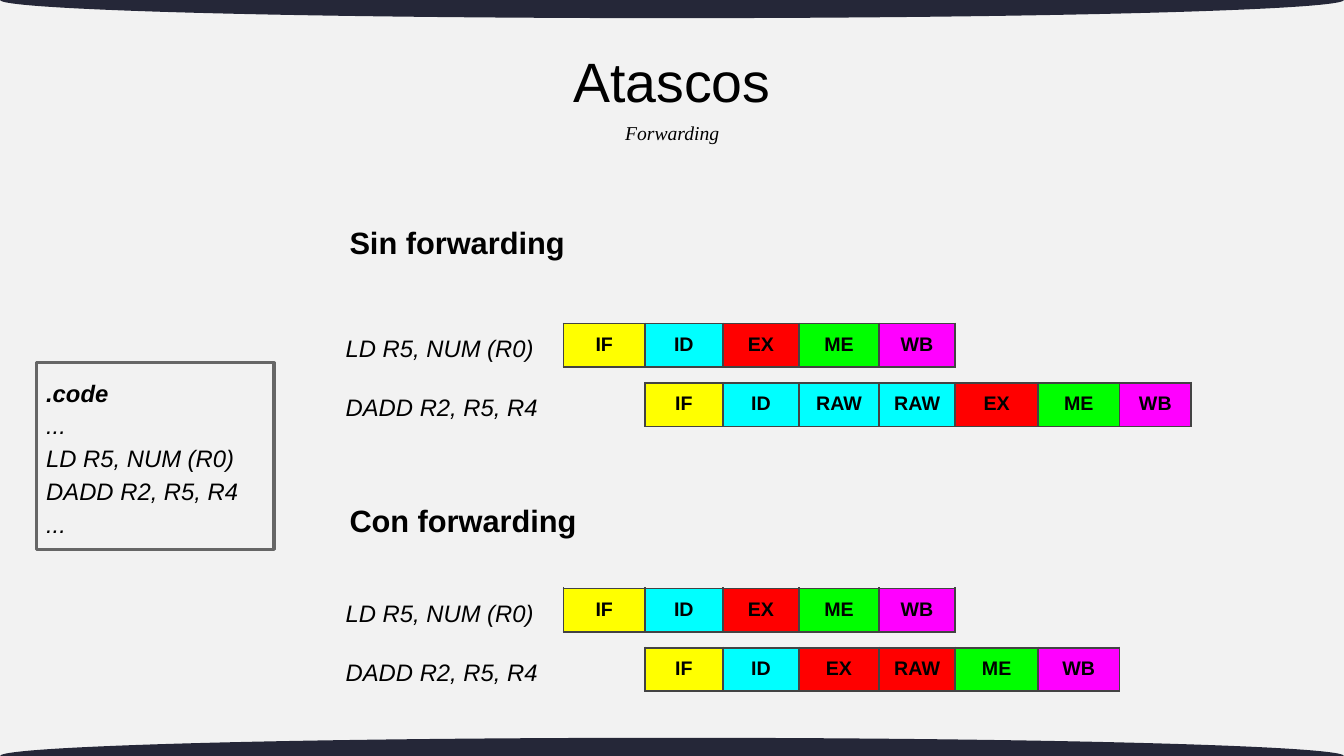
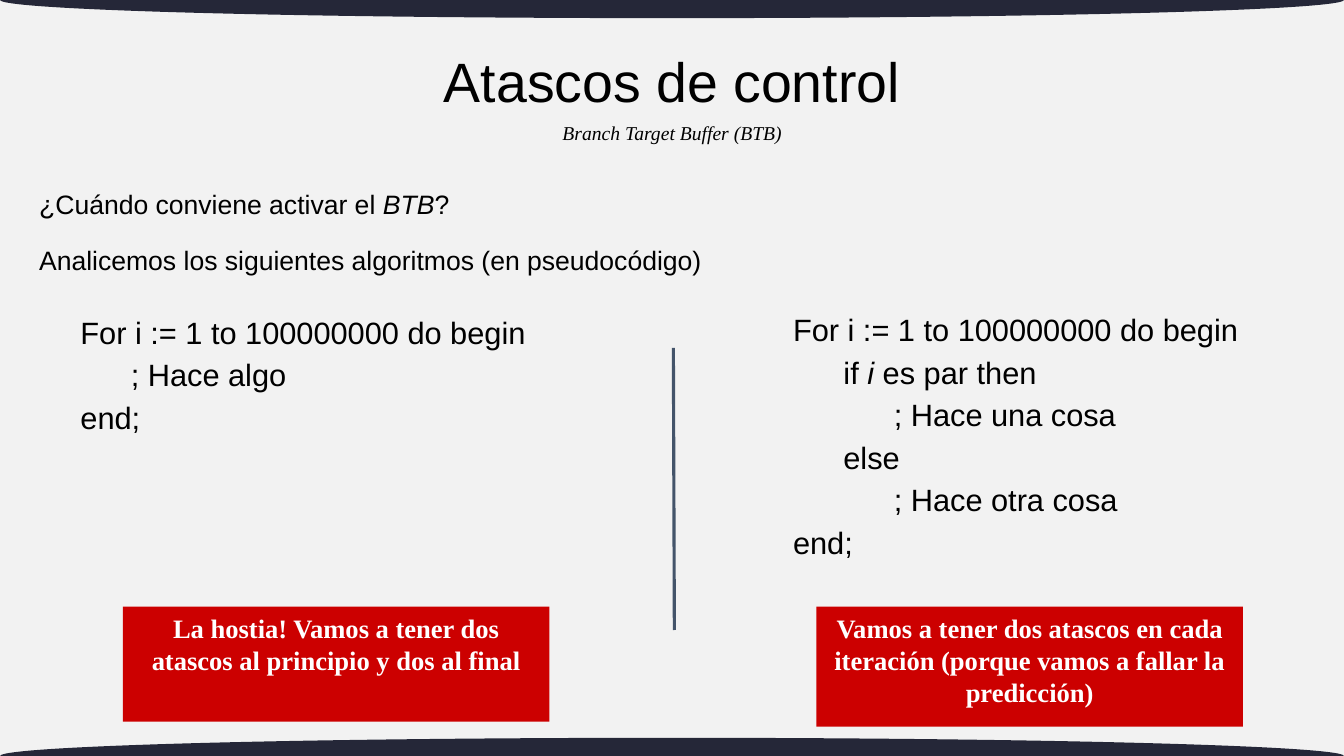
from pptx import Presentation
from pptx import util as u
from pptx.dml.color import RGBColor
from pptx.enum import shapes, text
from pptx.oxml import parse_xml
from pptx.oxml.ns import nsdecls

Pt = u.Pt
WIDTH, HEIGHT = 960, 540
SANS, SERIF = "Arial", "Times New Roman"
BACKGROUND, BAND, BLACK, WHITE = "F2F2F2", "252738", "000000", "FFFFFF"
BORDER, RULE, FRAME, WARNING = "434343", "44546A", "666666", "CC0000"

# Pipeline stages and the width of each clock cycle
STAGES = {"IF": "FFFF00", "ID": "00FFFF", "EX": "FF0000", "ME": "00FF00", "WB": "FF00FF"}
CYCLES = [58.3, 55.4, 54.7, 56.9, 54.7, 59, 58.3, 51.1]
PIPELINE_LEFT = 402.5
ROW_STEP = 42.3


def colour(value):
    return RGBColor.from_string(value)


class Deck:
    """Shared style, and the slide being drawn."""

    def __init__(self):
        self.presentation = Presentation()
        self.presentation.slide_width = Pt(WIDTH)
        self.presentation.slide_height = Pt(HEIGHT)
        self.slide = None

    def new_slide(self, title, subtitle):
        self.slide = self.presentation.slides.add_slide(self.presentation.slide_layouts[6])
        self.slide.background.fill.solid()
        self.slide.background.fill.fore_color.rgb = colour(BACKGROUND)
        for edge in (0, HEIGHT):
            self.shape(shapes.MSO_SHAPE.OVAL, (0, edge - 13, WIDTH, 26), fill=BAND)
        self.text((230, 26.6, 500, 67.7), [title], 39.6, spacing=0.9, centred=True)
        self.text((316.8, 82.8, 326.9, 24.5), [subtitle], 14, font=SERIF, italic=True,
                  spacing=1, centred=True, top=True)

    def shape(self, kind, box, fill=None, line=None):
        shape = self.slide.shapes.add_shape(kind, *map(Pt, box))
        shape.shadow.inherit = False
        if fill:
            shape.fill.solid()
            shape.fill.fore_color.rgb = colour(fill)
        else:
            shape.fill.background()
        if line:
            shape.line.color.rgb = colour(line)
            shape.line.width = Pt(2.25)
        else:
            shape.line.fill.background()
        return shape

    def text(self, box, lines, size, font=SANS, ink=BLACK, bold=False, italic=False,
             spacing=1.15, centred=False, top=False, margin=3.6, fill=None, line=None):
        """Leading tabs set the indent of a line; underscores enclose italics."""
        if fill or line:
            shape = self.shape(shapes.MSO_SHAPE.RECTANGLE, box, fill, line)
        else:
            shape = self.slide.shapes.add_textbox(*map(Pt, box))
        frame = shape.text_frame
        frame.word_wrap = True
        frame.margin_left = frame.margin_right = Pt(7.2)
        frame.margin_top = frame.margin_bottom = Pt(margin)
        frame.vertical_anchor = text.MSO_ANCHOR.TOP if top else text.MSO_ANCHOR.MIDDLE
        for number, content in enumerate(lines):
            paragraph = frame.add_paragraph() if number else frame.paragraphs[0]
            paragraph.alignment = text.PP_ALIGN.CENTER if centred else text.PP_ALIGN.LEFT
            paragraph.line_spacing = spacing
            words = content.lstrip("\t")
            level = len(content) - len(words)
            if level:
                paragraph._p.get_or_add_pPr().set("marL", str(Pt(36 * level)))
            for part, piece in enumerate(words.split("_")):
                run = paragraph.add_run()
                run.text = piece
                self.style(run.font, size, font, ink, bold, italic or part % 2 == 1)
        return shape

    def style(self, font, size, name, ink, bold, italic=False):
        font.size, font.name, font.bold, font.italic = Pt(size), name, bold, italic
        font.color.rgb = colour(ink)

    def pipeline(self, top, start, stages):
        """One row of stages; a stall keeps the colour of the stage before it."""
        widths = CYCLES[start:start + len(stages)]
        left = PIPELINE_LEFT + sum(CYCLES[:start])
        table = self.slide.shapes.add_table(
            1, len(stages), Pt(left), Pt(top), Pt(sum(widths)), Pt(30.5)).table
        table.first_row = table.horz_banding = False
        fill = None
        for column, (stage, width) in enumerate(zip(stages, widths)):
            table.columns[column].width = Pt(width)
            fill = STAGES.get(stage, fill)
            cell = table.cell(0, column)
            self.borders(cell)
            cell.fill.solid()
            cell.fill.fore_color.rgb = colour(fill)
            cell.margin_left = cell.margin_right = Pt(7.2)
            cell.margin_top = cell.margin_bottom = Pt(7.2)
            cell.text_frame.text = stage
            paragraph = cell.text_frame.paragraphs[0]
            paragraph.alignment = text.PP_ALIGN.CENTER
            self.style(paragraph.runs[0].font, 14, SANS, BLACK, True)

    def borders(self, cell):
        properties = cell._tc.get_or_add_tcPr()
        for side in ("lnL", "lnR", "lnT", "lnB"):
            properties.append(parse_xml(
                f'<a:{side} {nsdecls("a")} w="{Pt(1.5)}"><a:solidFill>'
                f'<a:srgbClr val="{BORDER}"/></a:solidFill></a:{side}>'))

    def line(self, start, end):
        connector = self.slide.shapes.add_connector(
            shapes.MSO_CONNECTOR.STRAIGHT, *map(Pt, start + end))
        connector.line.color.rgb = colour(RULE)
        connector.line.width = Pt(2.25)
        connector._element.spPr.append(parse_xml(f'<a:effectLst {nsdecls("a")}/>'))


def forwarding_slide(deck):
    deck.new_slide("Atascos", "Forwarding")
    load, add = "LD R5, NUM (R0)", "DADD R2, R5, R4"

    # Code listing
    listing = deck.text((25.9, 259.2, 169.9, 133.2), [".code", "...", load, add, "..."],
                        17, italic=True, line=FRAME)
    listing.text_frame.paragraphs[0].runs[0].font.bold = True

    # Pipelines without and with forwarding
    cases = [
        ("Sin forwarding", 152.6, 231.1, "IF ID RAW RAW EX ME WB"),
        ("Con forwarding", 350.6, 420.3, "IF ID EX RAW ME WB"),
    ]
    for heading, heading_top, top, add_stages in cases:
        deck.text((242.6, heading_top, 185, 37.4), [heading], 22, bold=True)
        for row, (instruction, stages) in enumerate([(load, "IF ID EX ME WB"), (add, add_stages)]):
            row_top = top + row * ROW_STEP
            deck.pipeline(row_top, row, stages.split())
            deck.text((239.8, row_top - 2.9, 154.1, 31), [instruction], 17,
                      italic=True, top=True, margin=7.2)


def branch_slide(deck):
    deck.new_slide("Atascos de control", "Branch Target Buffer (BTB)")

    # Questions
    deck.text((20.9, 127.4, 920.9, 33.8), ["¿Cuándo conviene activar el _BTB_?"], 19)
    deck.text((20.9, 167, 920.9, 33.8),
              ["Analicemos los siguientes algoritmos (en pseudocódigo)"], 19)

    # Algorithms, each with its verdict
    loop = "For i := 1 to 100000000 do begin"
    columns = [
        (50.4, 92.9, [loop, "\t; Hace algo", "end;"],
         87.8, 82.1, "La hostia! Vamos a tener dos atascos al principio y dos al final"),
        (559.4, 180.7, [loop, "\tif _i_ es par then", "\t\t; Hace una cosa", "\telse",
                        "\t\t; Hace otra cosa", "end;"],
         583.2, 85.7, "Vamos a tener dos atascos en cada iteración "
                      "(porque vamos a fallar la predicción)"),
    ]
    for left, height, code, verdict_left, verdict_height, verdict in columns:
        deck.text((left, 218.9, 352.8, height), code, 22)
        deck.text((verdict_left, 433.4, 304.6, verdict_height), [verdict], 19, font=SERIF,
                  ink=WHITE, bold=True, spacing=1, centred=True, top=True, fill=WARNING)
    deck.line((481, 248.4), (481.7, 450))


def main():
    deck = Deck()
    forwarding_slide(deck)
    branch_slide(deck)
    deck.presentation.save("out.pptx")


if __name__ == "__main__":
    main()
